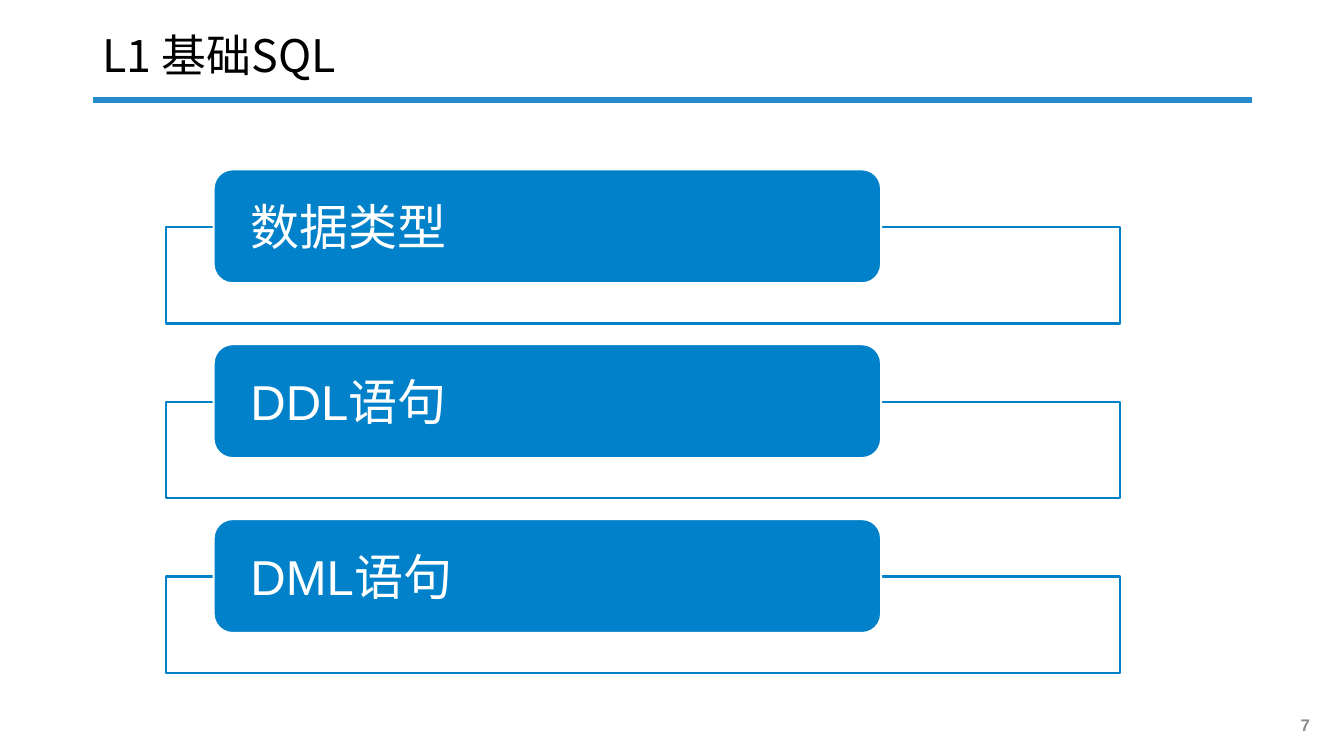
from lxml import etree
from pptx import Presentation
from pptx.dml.color import RGBColor
from pptx.enum.shapes import MSO_CONNECTOR, MSO_SHAPE
from pptx.enum.text import MSO_ANCHOR, PP_ALIGN
from pptx.oxml.ns import qn
from pptx.util import Inches, Pt

WHITE = RGBColor(0xFF, 0xFF, 0xFF)
BLACK = RGBColor(0x00, 0x00, 0x00)
BLUE = RGBColor(0x00, 0x81, 0xC9)
RULE_BLUE = RGBColor(0x23, 0x8A, 0xCB)
GREY = RGBColor(0x8C, 0x8C, 0x8C)
RECT, ROUNDED = MSO_SHAPE.RECTANGLE, MSO_SHAPE.ROUNDED_RECTANGLE
STRAIGHT = MSO_CONNECTOR.STRAIGHT
MIDDLE = MSO_ANCHOR.MIDDLE
LEFT, CENTER = PP_ALIGN.LEFT, PP_ALIGN.CENTER
LATIN, CJK = "Arial", "Noto Sans CJK SC"

TOPICS = ["数据类型", "DDL语句", "DML语句"]
FIRST_ROW, ROW_STEP = 22.4, 23.13


class Deck:
    """Draws styled elements on one slide, placed in percent of its size."""

    def __init__(self, prs):
        self.prs = prs
        self.s = prs.slides.add_slide(prs.slide_layouts[6])

    def place(self, x, y, w, h):
        width, height = self.prs.slide_width, self.prs.slide_height
        return [int(share * side / 100) for share, side in
                ((x, width), (y, height), (w, width), (h, height))]

    def rule(self, x, y, w, color, weight):
        left, top, width, _ = self.place(x, y, w, 0)
        line = self.s.shapes.add_connector(STRAIGHT, left, top, left + width, top)
        line.line.color.rgb = color
        line.line.width = Pt(weight)
        etree.SubElement(line._element.spPr, qn("a:effectLst"))

    def box(self, kind, area, fill, line, opacity=100):
        sp = self.s.shapes.add_shape(kind, *self.place(*area))
        sp.shadow.inherit = False
        sp.fill.solid()
        sp.fill.fore_color.rgb = fill
        sp.line.color.rgb = line
        sp.line.width = Pt(1.5)
        if opacity < 100:
            color = sp._element.spPr.find(qn("a:solidFill"))[0]
            etree.SubElement(color, qn("a:alpha"), val=str(opacity * 1000))
        return sp

    def add_text(self, sp, text, size, color, font=LATIN, bold=False,
                 align=LEFT, inset=0.1, spacing=1.0):
        tf = sp.text_frame
        tf.word_wrap = True
        tf.vertical_anchor = MIDDLE
        tf.margin_left = tf.margin_right = Inches(inset)
        tf.margin_top = tf.margin_bottom = 0
        p = tf.paragraphs[0]
        p.alignment = align
        p.line_spacing = spacing
        r = p.add_run()
        r.text = text
        r.font.size = Pt(size)
        r.font.bold = bold
        r.font.color.rgb = color
        r.font.name = font
        etree.SubElement(r._r.get_or_add_rPr(), qn("a:ea"), typeface=CJK)

    def label(self, area, text, size, color, **style):
        sp = self.s.shapes.add_textbox(*self.place(*area))
        self.add_text(sp, text, size, color, **style)

    def topic(self, y, text):
        self.box(RECT, (12.38, y + 7.6, 70.97, 12.8), WHITE, BLUE, opacity=90)
        sp = self.box(ROUNDED, (15.9, y, 49.66, 15.07), BLUE, WHITE)
        self.add_text(sp, text, 35, WHITE, inset=0.31)


def main():
    prs = Presentation()
    prs.slide_width, prs.slide_height = Inches(13.33), Inches(7.5)
    deck = Deck(prs)
    deck.rule(6.9, 13.2, 86.27, RULE_BLUE, 4.5)
    deck.label((6.9, 2.67, 86.27, 10.13), "L1 基础SQL", 32, BLACK,
               font=CJK, spacing=0.9)
    deck.label((94.9, 93.2, 4.43, 5.33), "7", 12, GREY, bold=True, align=CENTER)
    for row, text in enumerate(TOPICS):
        deck.topic(FIRST_ROW + row * ROW_STEP, text)
    prs.save("out.pptx")


if __name__ == "__main__":
    main()
